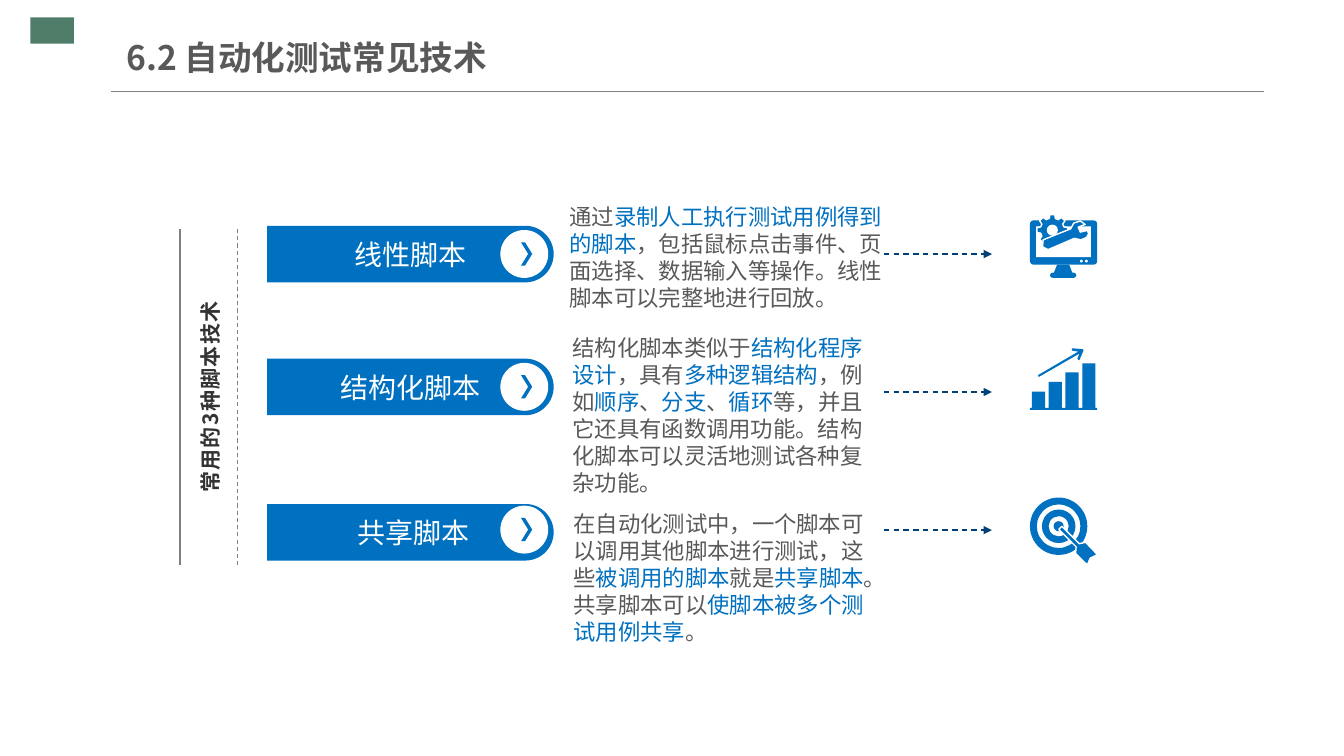
import math
from dataclasses import dataclass

from lxml import etree
from pptx import Presentation
from pptx.dml.color import RGBColor
from pptx.enum import dml, shapes, text
from pptx.oxml.ns import qn
from pptx.util import Pt


@dataclass(frozen=True)
class Theme:
    font: str = "Noto Sans CJK SC"
    title_size: int = 24
    label_size: int = 20
    body_size: int = 16
    side_size: int = 15
    body_leading: float = 19.3
    blue: str = "0070C0"
    navy: str = "014076"
    green: str = "4F7D6A"
    rule: str = "808080"
    grey: str = "595959"
    dark: str = "333333"
    white: str = "FFFFFF"


THEME = Theme()
SHAPE = shapes.MSO_SHAPE
ICON_LEFT = 735.7


def rgb(code):
    return RGBColor.from_string(code)


def paint(shape, fill, outline=None):
    shape.shadow.inherit = False
    shape.fill.solid()
    shape.fill.fore_color.rgb = rgb(fill)
    if outline:
        shape.line.color.rgb = rgb(outline)
        shape.line.width = Pt(1)
    else:
        shape.line.fill.background()
    return shape


def add_preset(page, kind, left, top, width, height, fill, adjust=None):
    shape = page.shapes.add_shape(kind, Pt(left), Pt(top), Pt(width), Pt(height))
    if adjust is not None:
        shape.adjustments[0] = adjust
    return paint(shape, fill)


def add_polygon(page, left, top, contours, fill, outline=None):
    """Draw one shape from closed contours whose points are relative to left, top."""
    builder = None
    for points in contours:
        corners = [(Pt(left + x), Pt(top + y)) for x, y in points]
        if builder is None:
            builder = page.shapes.build_freeform(*corners[0], scale=1)
        else:
            builder.move_to(*corners[0])
        builder.add_line_segments(corners[1:], close=True)
    return paint(builder.convert_to_shape(), fill, outline)


def add_line(page, start, end, color, width=0.75, dashed=False, head=None):
    line = page.shapes.add_connector(
        shapes.MSO_CONNECTOR.STRAIGHT, *(Pt(value) for value in (*start, *end)))
    line.line.color.rgb = rgb(color)
    line.line.width = Pt(width)
    if dashed:
        line.line.dash_style = dml.MSO_LINE.DASH
    if head:
        etree.SubElement(line.line._get_or_add_ln(), qn("a:tailEnd"), type=head)
    etree.SubElement(line._element.spPr, qn("a:effectLst"))


def write(shape, wording, size, color, accent=None, bold=False,
          align=text.PP_ALIGN.LEFT, anchor=text.MSO_ANCHOR.MIDDLE,
          insets=(0, 0), leading=None):
    """Fill a shape with one paragraph; parts between asterisks take the accent."""
    frame = shape.text_frame
    side, end = (Pt(value) for value in insets)
    settings = {"word_wrap": True, "vertical_anchor": anchor,
                "margin_left": side, "margin_right": side,
                "margin_top": end, "margin_bottom": end}
    for name, value in settings.items():
        setattr(frame, name, value)
    para = frame.paragraphs[0]
    para.alignment = align
    if leading:
        para.line_spacing = Pt(leading)
    for index, part in enumerate(wording.split("*")):
        span = para.add_run()
        span.text = part
        for name, value in {"name": THEME.font, "size": Pt(size), "bold": bold}.items():
            setattr(span.font, name, value)
        span.font.color.rgb = rgb(accent if index % 2 else color)
        etree.SubElement(span._r.get_or_add_rPr(), qn("a:ea"), typeface=THEME.font)
    return frame


def add_text(page, left, top, width, height, *args, **formats):
    box = page.shapes.add_textbox(Pt(left), Pt(top), Pt(width), Pt(height))
    return write(box, *args, **formats)


def add_header(page, wording):
    add_preset(page, SHAPE.RECTANGLE, 21.8, 12.4, 31, 18.8, THEME.green)
    add_line(page, (79.4, 65.5), (903.2, 65.5), THEME.rule)
    title = page.shapes.title
    frame = {"left": 90.3, "top": 21, "width": 307, "height": 40}
    for name, value in frame.items():
        setattr(title, name, Pt(value))
    write(title, wording, THEME.title_size, THEME.grey, bold=True, insets=(0, 5))


def add_side_label(page, wording):
    frame = add_text(page, 130.5, 188.6, 39, 190, wording, THEME.side_size, THEME.dark,
                     bold=True, align=text.PP_ALIGN.CENTER)
    frame._txBody.bodyPr.set("vert", "vert270")
    frame.paragraphs[0].runs[0]._r.rPr.set("spc", "100")
    for x, dashed in ((128.6, False), (169.5, True)):
        add_line(page, (x, 163.6), (x, 403.4), THEME.rule, dashed=dashed)


def add_label_bar(page, top, button_top, wording):
    radius, straight = 20.2, 184.5
    angles = [math.radians(degree) for degree in range(-90, 91, 6)]
    cap = [(straight + radius * math.cos(a), radius + radius * math.sin(a)) for a in angles]
    bar = add_polygon(page, 190.8, top, [[(0, 0), *cap, (0, 2 * radius)]], THEME.blue)
    write(bar, wording, THEME.label_size, THEME.white, align=text.PP_ALIGN.CENTER)
    add_preset(page, SHAPE.OVAL, 357.4, button_top, 34.2, 34.2, THEME.white)
    add_preset(page, SHAPE.CHEVRON, 372.2, button_top + 8.8, 8, 16.6, THEME.blue, 0.64)


def draw_monitor(page, top):
    add_preset(page, SHAPE.ROUNDED_RECTANGLE, ICON_LEFT, top + 3.6, 48, 31.7, THEME.blue, 0.08)
    add_preset(page, SHAPE.RECTANGLE, ICON_LEFT + 4.3, top + 8, 39.2, 22, THEME.white)
    for x in (35.7, 39.3):
        add_preset(page, SHAPE.OVAL, ICON_LEFT + x, top + 31.7, 2, 2, THEME.white)
    stand = [(19.4, 35.2), (28, 35.2), (30.3, 41.2), (17, 41.2)]
    add_polygon(page, ICON_LEFT, top, [stand], THEME.blue)
    add_preset(page, SHAPE.ROUNDED_RECTANGLE, ICON_LEFT + 14.4, top + 41, 18.7, 3.6, THEME.blue, 0.5)
    gear = []
    for tooth in range(8):
        for offset, radius in ((-15, 8.6), (-9, 11.2), (9, 11.2), (15, 8.6)):
            angle = math.radians(45 * tooth + offset)
            gear.append((16 + radius * math.cos(angle), 10.6 + radius * math.sin(angle)))
    add_polygon(page, ICON_LEFT, top, [gear], THEME.blue, THEME.white)
    add_preset(page, SHAPE.OVAL, ICON_LEFT + 12, top + 6.6, 8, 8, THEME.white)
    wrench = [(36, 4), (39.5, 6.5), (34.5, 8.5), (36, 12), (41, 10.8), (42, 13),
              (40.5, 15.8), (36.5, 17.5), (31.7, 16.5), (13, 24.5), (9, 22.5), (9.5, 17.5),
              (29.2, 9.6), (31.2, 5.6)]
    add_polygon(page, ICON_LEFT, top, [wrench], THEME.blue, THEME.white)


def draw_growth(page, top):
    base, floor = 42.5, 44
    skyline = [(0, floor), (0, base)]
    for index, bar_top in enumerate((31, 24, 17.3, 10.8)):
        left = 1.4 + 12 * index
        right = left + 9.4
        skyline += [(left, base), (left, bar_top), (right, bar_top), (right, base)]
    skyline += [(48, base), (48, floor)]
    arrow = [(5.7, 19.2), (34.5, 2.4), (30, 1.7), (30, 0), (37.6, 0.6), (38.3, 1.4),
             (35.3, 8.6), (33.8, 7.6), (35.3, 3.8), (6.3, 20.5)]
    add_polygon(page, ICON_LEFT, top, [skyline, arrow], THEME.blue)


def draw_target(page, top):
    center = 20.5
    for kind, size, adjust in ((SHAPE.DONUT, 41, 0.12), (SHAPE.DONUT, 24, 0.2),
                               (SHAPE.OVAL, 7.2, None)):
        inset = center - size / 2
        add_preset(page, kind, ICON_LEFT + inset, top + inset, size, size, THEME.blue, adjust)
    dart = [(20.6, 22.8), (22.8, 20.6), (35.3, 33), (39.8, 32), (48.2, 40.8), (43, 43.4),
            (41, 48.2), (32.6, 40), (33, 35.3)]
    add_polygon(page, ICON_LEFT, top, [dart], THEME.blue, THEME.white)


def main():
    deck = Presentation()
    deck.slide_width, deck.slide_height = Pt(960), Pt(540)
    page = deck.slides.add_slide(deck.slide_layouts[5])
    add_header(page, "6.2 自动化测试常见技术")
    add_side_label(page, "常用的3种脚本技术")
    middle, upper = text.MSO_ANCHOR.MIDDLE, text.MSO_ANCHOR.TOP
    # label, bar top, button top, body box, body anchor, arrow height, icon, icon top, body
    rows = [
        ("线性脚本", 161.3, 164.3, (399.8, 129.6, 243.4, 108), middle, 181.5, draw_monitor, 153.8,
         "通过*录制人工执行测试用例得到的脚本*，包括鼠标点击事件、页面选择、数据输入等操作。"
         "线性脚本可以完整地进行回放。"),
        ("结构化脚本", 256.2, 259.2, (401.8, 232.6, 229, 127.4), middle, 280, draw_growth, 248.8,
         "结构化脚本类似于*结构化程序设计*，具有*多种逻辑结构*，例如*顺序*、*分支*、*循环*等，"
         "并且它还具有函数调用功能。结构化脚本可以灵活地测试各种复杂功能。"),
        (" 共享脚本", 360, 361.2, (402.6, 360.8, 230.4, 104.4), upper, 378.7, draw_target, 355.4,
         "在自动化测试中，一个脚本可以调用其他脚本进行测试，这些*被调用的脚本*就是*共享脚本*。"
         "共享脚本可以*使脚本被多个测试用例共享*。"),
    ]
    for label, bar_top, button_top, area, anchor, arrow_y, draw_icon, icon_top, body in rows:
        add_label_bar(page, bar_top, button_top, label)
        add_text(page, *area, body, THEME.body_size, THEME.grey, accent=THEME.blue,
                 anchor=anchor, insets=(7.2, 3.6), leading=THEME.body_leading)
        add_line(page, (631.4, arrow_y), (708.5, arrow_y), THEME.navy, 1, True, "triangle")
        draw_icon(page, icon_top)
    deck.save("out.pptx")


if __name__ == "__main__":
    main()
